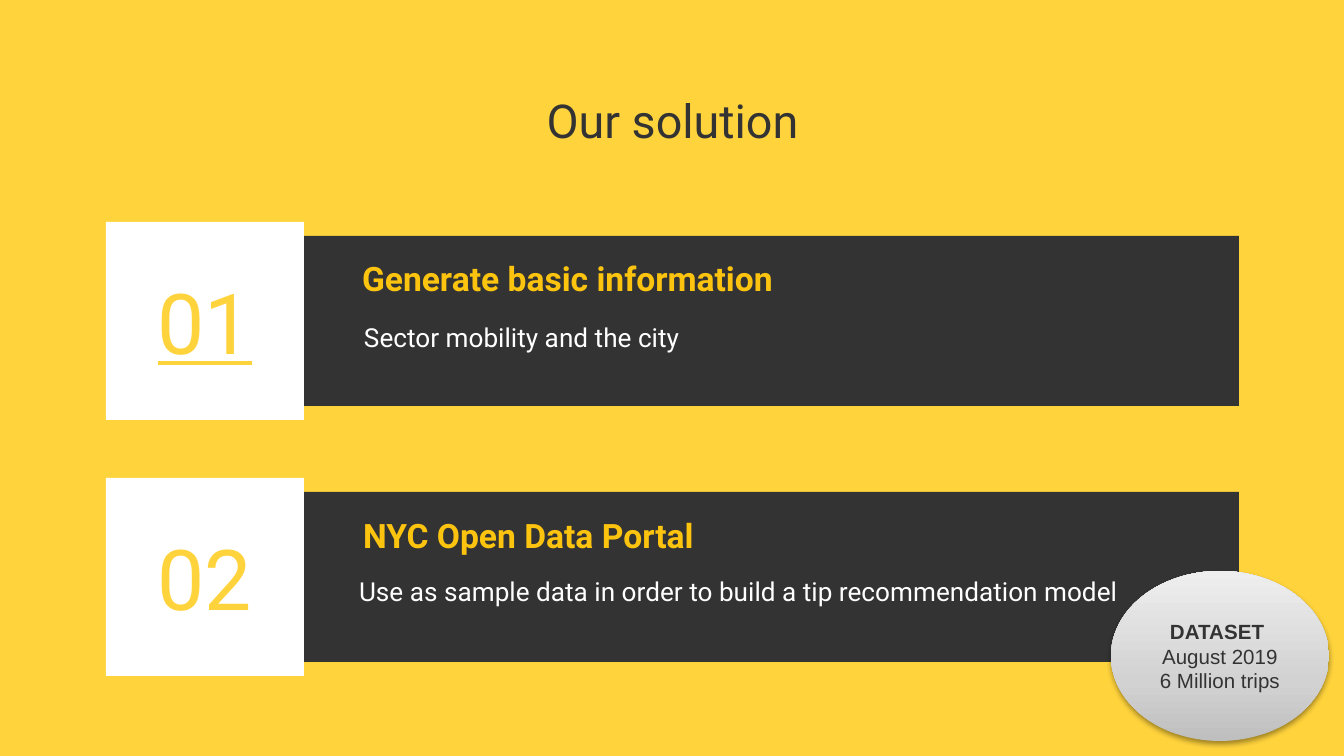
from copy import deepcopy

from lxml import etree
from pptx import Presentation
from pptx import util as u
from pptx.dml.color import RGBColor
from pptx.enum import shapes, text
from pptx.oxml.ns import qn

YELLOW = RGBColor(0xFF, 0xD3, 0x3C)
AMBER = RGBColor(0xFD, 0xC4, 0x0F)
CHARCOAL = RGBColor(0x33, 0x33, 0x33)
WHITE = RGBColor(0xFF, 0xFF, 0xFF)
BADGE_STOPS = [(0, RGBColor(0xBF, 0xBF, 0xBF)),
               (0.35, RGBColor(0xD2, 0xD2, 0xD2)),
               (1, RGBColor(0xEE, 0xEE, 0xEE))]

PX = 914400 / 134.4
INSET = 13
COMPARISON_LAYOUT = 4


def px(length):
    return u.Emu(round(length * PX))


def apply(target, **values):
    for name, value in values.items():
        setattr(target, name, value)


class SolutionSlide:
    """Holds the style and the current slide."""

    TITLE = dict(size=u.Pt(25), name="Roboto", bold=False)
    NUMBER = dict(size=u.Pt(45), name="Roboto", bold=False)
    HEADING = dict(size=u.Pt(18), name="Roboto", bold=True)
    DETAIL = dict(size=u.Pt(14), name="Roboto", bold=False)
    BADGE = dict(size=u.Pt(11), name="Arial", bold=False)

    def __init__(self, deck):
        self.slide = deck.slides.add_slide(deck.slide_layouts[COMPARISON_LAYOUT])
        fill = self.slide.background.fill
        fill.solid()
        fill.fore_color.rgb = YELLOW

    def set_text(self, shape, lines, font, color, align, anchor):
        """Fill the shape with one paragraph per line."""
        frame = shape.text_frame
        apply(frame, text="\n".join(lines), word_wrap=True, vertical_anchor=anchor,
              auto_size=text.MSO_AUTO_SIZE.NONE, margin_left=px(INSET),
              margin_right=px(INSET), margin_top=px(INSET), margin_bottom=px(INSET))
        for paragraph in frame.paragraphs:
            apply(paragraph, alignment=align, space_before=u.Pt(0), line_spacing=1.0)
            for run in paragraph.runs:
                apply(run.font, **font)
                run.font.color.rgb = color

    def block(self, kind, left, top, width, height):
        shape = self.slide.shapes.add_shape(kind, px(left), px(top), px(width), px(height))
        shape.shadow.inherit = False
        shape.line.fill.background()
        return shape

    def rectangle(self, left, top, width, height, color):
        shape = self.block(shapes.MSO_SHAPE.RECTANGLE, left, top, width, height)
        shape.fill.solid()
        shape.fill.fore_color.rgb = color
        return shape

    def number(self, left, top, side, label, underline):
        square = self.rectangle(left, top, side, side, WHITE)
        self.set_text(square, [label], dict(self.NUMBER, underline=underline), YELLOW,
                      text.PP_ALIGN.CENTER, text.MSO_ANCHOR.MIDDLE)

    def placeholder(self, idx, box, line, font, color,
                    align=text.PP_ALIGN.LEFT, anchor=text.MSO_ANCHOR.TOP):
        """Place a template placeholder in front, without a bullet."""
        holder = self.slide.placeholders[idx]
        apply(holder, **dict(zip(("left", "top", "width", "height"), map(px, box))))
        self.set_text(holder, [line], font, color, align, anchor)
        properties = holder.text_frame.paragraphs[0]._p.get_or_add_pPr()
        properties.set("marL", "0")
        properties.set("indent", "0")
        etree.SubElement(properties, qn("a:buNone"))
        self.slide.shapes._spTree.append(holder._element)

    def badge(self, left, top, width, height, lines):
        """Gradient ellipse with a soft shadow and a bold first line."""
        oval = self.block(shapes.MSO_SHAPE.OVAL, left, top, width, height)
        oval.fill.gradient()
        oval.fill.gradient_angle = 90
        first_stop = oval._element.spPr.find(qn("a:gradFill")).find(qn("a:gsLst"))[0]
        first_stop.addnext(deepcopy(first_stop))
        for stop, (position, color) in zip(oval.fill.gradient_stops, BADGE_STOPS):
            stop.position = position
            stop.color.rgb = color
        effects = oval._element.spPr.find(qn("a:effectLst"))
        shadow = etree.SubElement(effects, qn("a:outerShdw"), blurRad=str(u.Pt(3.1)),
                                  dist=str(u.Pt(1.6)), dir="5400000", rotWithShape="0")
        black = etree.SubElement(shadow, qn("a:srgbClr"), val="000000")
        etree.SubElement(black, qn("a:alpha"), val="38000")
        self.set_text(oval, lines, self.BADGE, CHARCOAL,
                      text.PP_ALIGN.CENTER, text.MSO_ANCHOR.MIDDLE)
        oval.text_frame.paragraphs[0].runs[0].font.bold = True


def main():
    deck = Presentation()
    deck.slide_width, deck.slide_height = px(1344), px(756)
    page = SolutionSlide(deck)
    page.placeholder(0, (106, 79, 1133, 100), "Our solution", page.TITLE, CHARCOAL,
                     text.PP_ALIGN.CENTER)

    # number, underlined, heading, heading left and top, detail, detail left and top
    steps = [
        ("01", True, "Generate basic information", 349, 237,
         "Sector mobility and the city", 351, 308),
        ("02", False, "NYC Open Data Portal", 350, 494,
         "Use as sample data in order to build a tip recommendation model", 346, 562),
    ]
    for i, (label, underline, heading, heading_x, heading_y,
            detail, detail_x, detail_y) in enumerate(steps):
        top = 222 + 256 * i
        page.rectangle(179, top + 14, 1060, 170, CHARCOAL)
        page.number(106, top, 198, label, underline)
        page.placeholder(1 + 2 * i, (heading_x, heading_y, 800, 82), heading,
                         page.HEADING, AMBER, anchor=text.MSO_ANCHOR.MIDDLE)
        page.placeholder(2 + 2 * i, (detail_x, detail_y, 840, 82), detail,
                         page.DETAIL, WHITE)

    page.badge(1111, 571, 218, 170, ["DATASET ", "August 2019", "6 Million trips"])
    deck.save("out.pptx")


if __name__ == "__main__":
    main()
